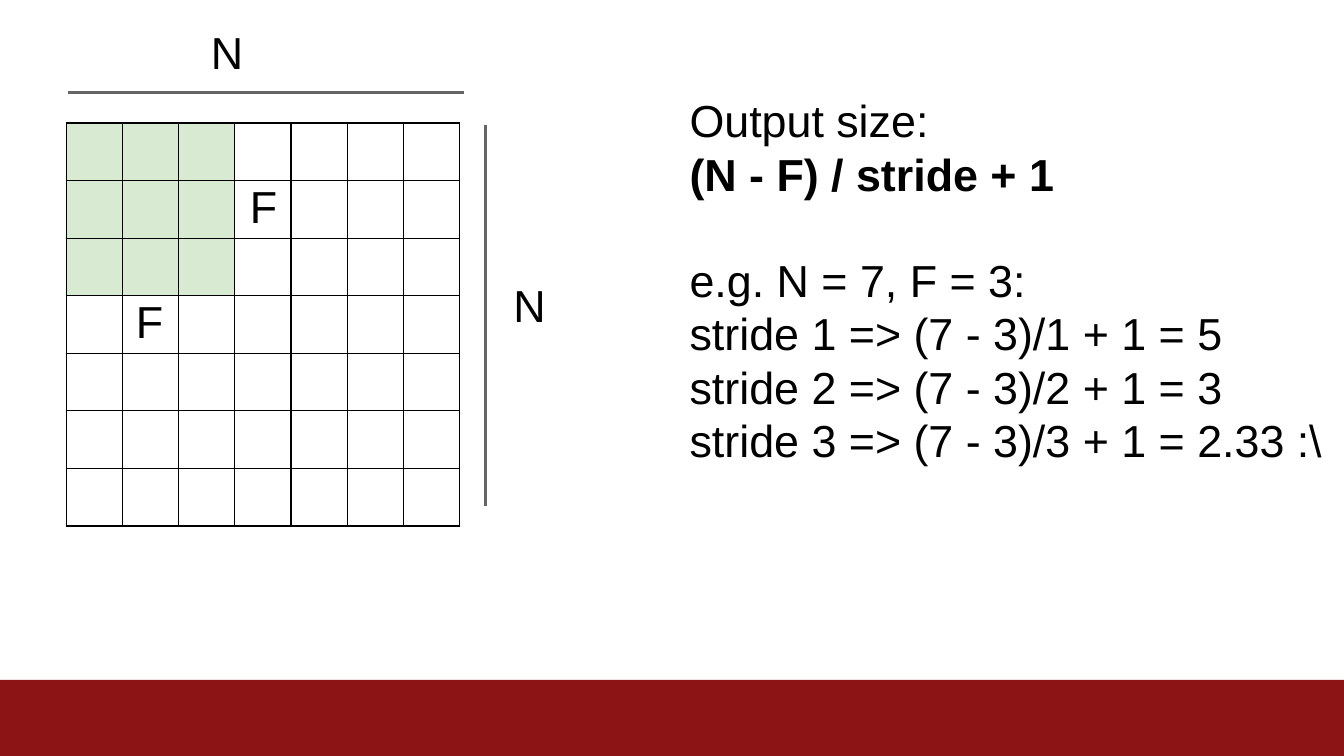
from lxml.etree import SubElement
from pptx import Presentation
from pptx.dml.color import RGBColor
from pptx.enum.shapes import MSO_CONNECTOR, MSO_SHAPE
from pptx.oxml.ns import qn
from pptx.util import Pt

COLORS = {"band": "8C1414", "filter": "D9EAD3", "rule": "666666", "ink": "000000"}
FONT, SIZE, LEADING = "Arial", 24, 28.6
N, F = 7, 3
GRID_LEFT, GRID_TOP, CELL_W, CELL_H = 35.5, 65.9, 30.12, 30.86
BAND_TOP = 364.3

CELL_LABELS = {(1, 3): ("F", 8, 1.5), (3, 1): ("F", 7.2, 1)}
RULES = [(36.7, 49.5, 248.8, 49.5), (259.9, 67, 259.9, 271.2)]
TEXTS = [
    (113, 12.2, 19, 31, [("N", False)]),
    (275, 147.6, 19, 31, [("N", False)]),
    (369.4, 49, 197, 59, [("Output size:", False), ("(N - F) / stride + 1", True)]),
    (369.4, 134.6, 345, 117, [
        ("e.g. N = 7, F = 3:", False),
        ("stride 1 => (7 - 3)/1 + 1 = 5", False),
        ("stride 2 => (7 - 3)/2 + 1 = 3", False),
        ("stride 3 => (7 - 3)/3 + 1 = 2.33 :\\", False),
    ]),
]


def rgb(name):
    return RGBColor.from_string(COLORS[name])


def style(p, bold=False):
    p.font.name, p.font.size, p.font.bold = FONT, Pt(SIZE), bold
    p.font.color.rgb = rgb("ink")


def add_borders(cell):
    tc_pr = cell._tc.get_or_add_tcPr()
    for side in ("lnL", "lnR", "lnT", "lnB"):
        ln = SubElement(tc_pr, qn(f"a:{side}"), w=str(Pt(0.75)))
        fill = SubElement(ln, qn("a:solidFill"))
        SubElement(fill, qn("a:srgbClr"), val=COLORS["ink"])


def add_grid(s):
    frame = s.shapes.add_table(N, N, Pt(GRID_LEFT), Pt(GRID_TOP), Pt(N * CELL_W), Pt(N * CELL_H))
    table = frame.table
    table.first_row = table.horz_banding = False
    for col in table.columns:
        col.width = Pt(CELL_W)
    for r, row in enumerate(table.rows):
        row.height = Pt(CELL_H)
        for c, cell in enumerate(row.cells):
            text, left, top = CELL_LABELS.get((r, c), ("", 0, 0))
            cell.margin_left, cell.margin_top = Pt(left), Pt(top)
            cell.margin_right = cell.margin_bottom = 0
            add_borders(cell)
            if r < F and c < F:
                cell.fill.solid()
                cell.fill.fore_color.rgb = rgb("filter")
            else:
                cell.fill.background()
            if text:
                cell.text = text
                style(cell.text_frame.paragraphs[0])


def add_rule(s, x1, y1, x2, y2):
    rule = s.shapes.add_connector(MSO_CONNECTOR.STRAIGHT, Pt(x1), Pt(y1), Pt(x2), Pt(y2))
    rule.line.color.rgb = rgb("rule")
    rule.line.width = Pt(1.5)
    SubElement(rule._element.spPr, qn("a:effectLst"))


def add_text(s, x, y, w, h, lines):
    tf = s.shapes.add_textbox(Pt(x), Pt(y), Pt(w), Pt(h)).text_frame
    tf.word_wrap = True
    tf.margin_left = tf.margin_right = tf.margin_bottom = 0
    tf.margin_top = Pt(1)
    for i, (text, bold) in enumerate(lines):
        p = tf.add_paragraph() if i else tf.paragraphs[0]
        p.text = text
        if len(lines) > 1:
            p.line_spacing = Pt(LEADING)
        style(p, bold)


def main():
    prs = Presentation()
    prs.slide_width, prs.slide_height = Pt(720), Pt(405)
    s = prs.slides.add_slide(prs.slide_layouts[6])
    band = s.shapes.add_shape(MSO_SHAPE.RECTANGLE, 0, Pt(BAND_TOP), Pt(720), Pt(405 - BAND_TOP))
    band.shadow.inherit = False
    band.fill.solid()
    band.fill.fore_color.rgb = rgb("band")
    band.line.fill.background()
    add_grid(s)
    for rule in RULES:
        add_rule(s, *rule)
    for text in TEXTS:
        add_text(s, *text)
    prs.save("out.pptx")


if __name__ == "__main__":
    main()
